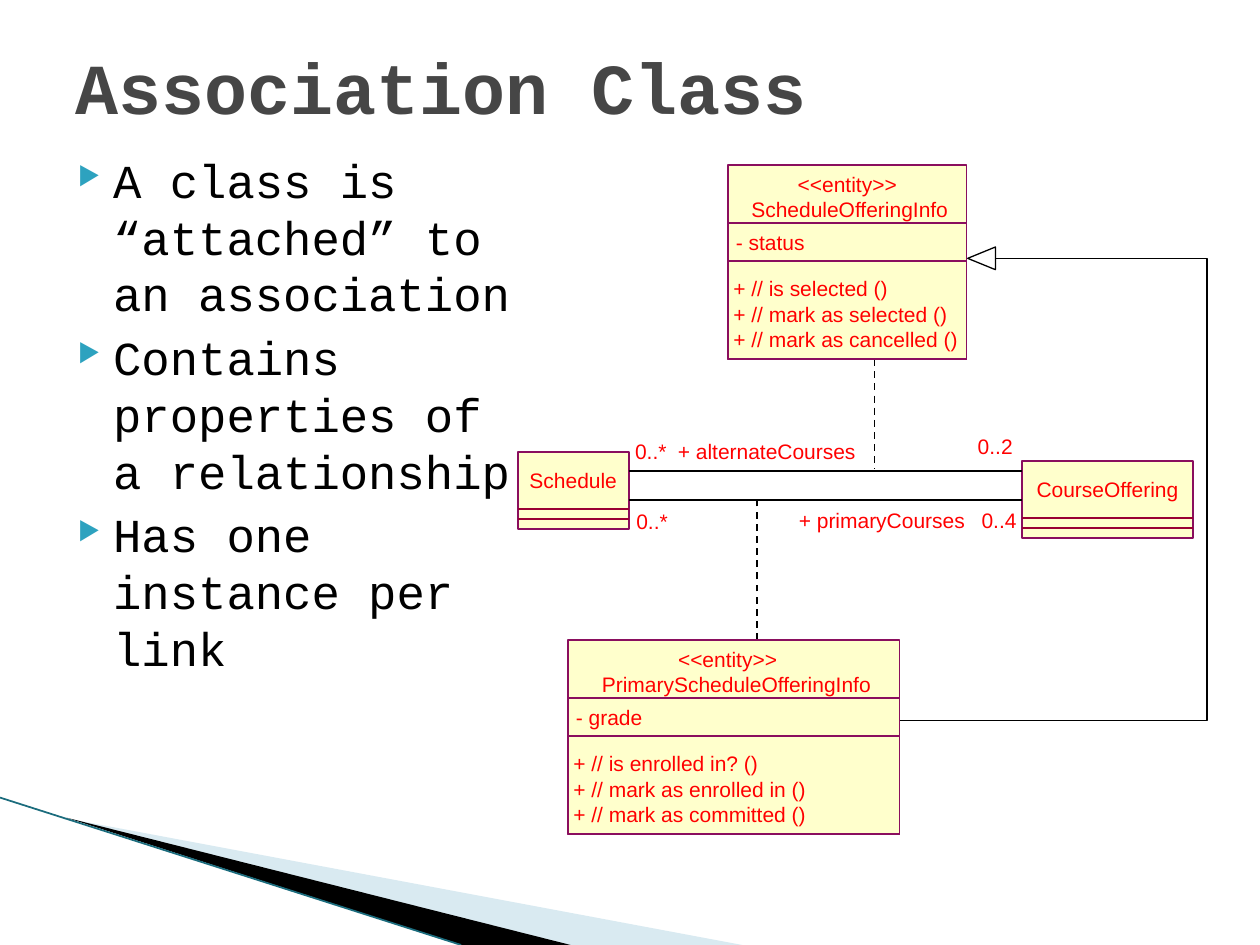
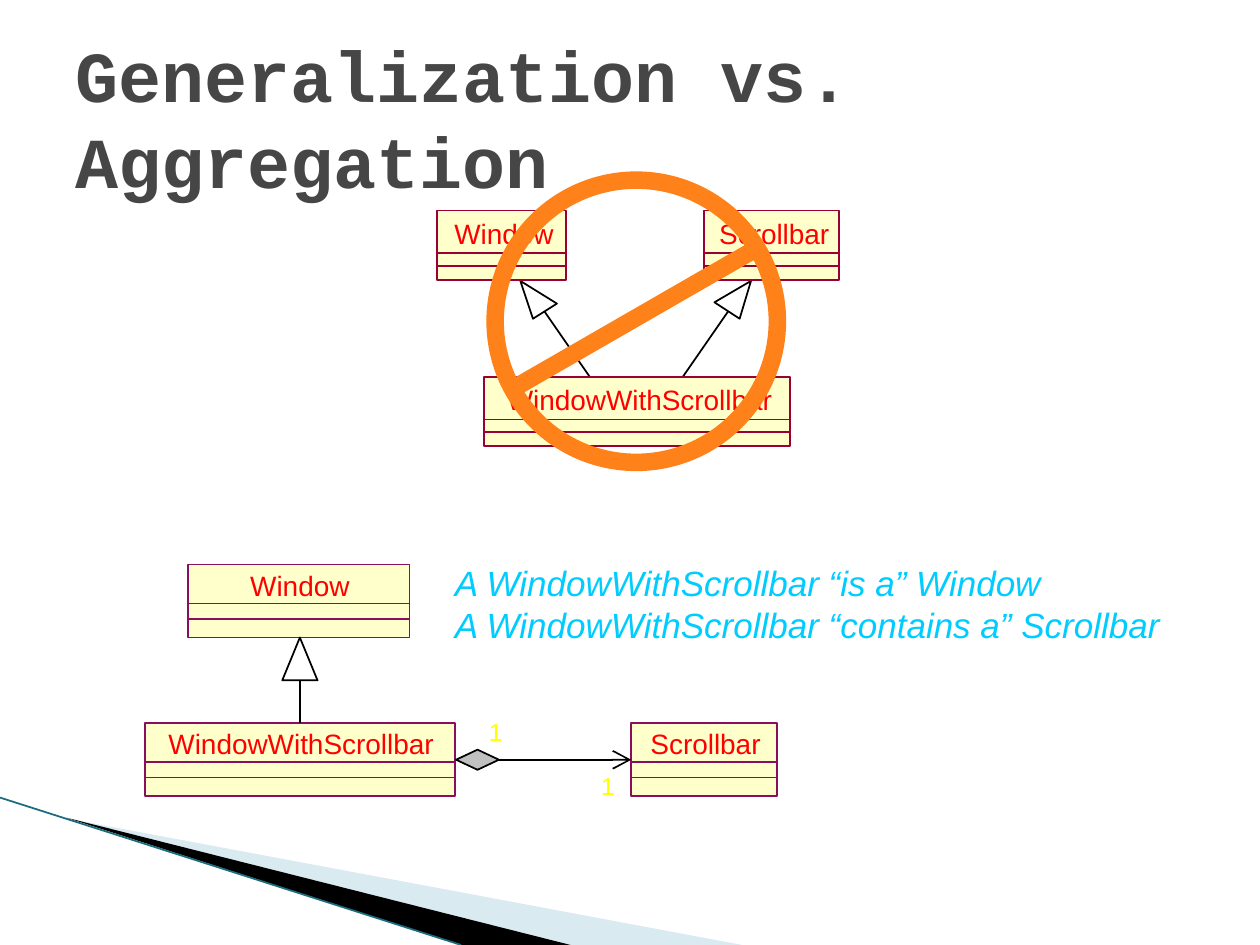
from pptx import Presentation
from pptx.dml.color import RGBColor
from pptx.enum.dml import MSO_LINE
from pptx.enum.shapes import MSO_CONNECTOR, MSO_SHAPE as SHAPE
from pptx.enum.text import MSO_ANCHOR as ANCHOR, PP_ALIGN as ALIGN
from pptx.oxml.ns import qn
from pptx.util import Pt
from lxml.etree import SubElement as add_sub

PX = 9144
MONO, SANS = "Courier New", "Arial"

BLACK = RGBColor(0x00, 0x00, 0x00)
GRAY = RGBColor(0x46, 0x46, 0x46)
SILVER = RGBColor(0xC0, 0xC0, 0xC0)
CREAM = RGBColor(0xFF, 0xFF, 0xCC)
PLUM = RGBColor(0x8A, 0x0E, 0x5E)
WINE = RGBColor(0x99, 0x00, 0x33)
RED = RGBColor(0xFF, 0x00, 0x00)
ORANGE = RGBColor(0xFF, 0x81, 0x19)
YELLOW = RGBColor(0xFF, 0xFF, 0x00)
CYAN = RGBColor(0x00, 0xCC, 0xFF)
PALE = RGBColor(0xD9, 0xEA, 0xF1)
TEAL = RGBColor(0x1B, 0x6C, 0x7D)
AQUA = RGBColor(0x2D, 0xA2, 0xBF)

POINTS = [
    "A class is “attached” to an association",
    "Contains properties of a relationship",
    "Has one instance per link",
]

ENTITIES = [
    ("ScheduleOfferingInfo", 578, 131, 189, 157, 0, "- status",
     ["+ // is selected ()", "+ // mark as selected ()",
      "+ // mark as cancelled ()"]),
    ("PrimaryScheduleOfferingInfo", 451, 508, 263, 215, -5, "- grade",
     ["+ // is enrolled in? ()", "+ // mark as enrolled in ()",
      "+ // mark as committed ()"]),
]

SMALL = dict(high=61, drop=12, rules=(45, 53), size=12, shift=0,
             edge=PLUM, rule=WINE)
WRONG = dict(high=55, drop=5, rules=(34, 44), size=16, shift=2,
             edge=WINE, rule=WINE)
RIGHT = dict(high=58, drop=3, rules=(31, 43), size=16, shift=1,
             edge=PLUM, rule=PLUM)

ENDS = [("Schedule", 411, 359, 88, 70), ("CourseOffering", 811, 366, 136, 113)]
ROLES = [
    ("0..*", 504, 348, 25),
    ("+ alternateCourses", 538, 348, 142),
    ("0..2", 776, 344, 28),
    ("0..*", 505, 404, 25),
    ("+ primaryCourses", 634, 403, 133),
    ("0..4", 779, 403, 28),
]
LINKS = [(499, 374, 811, 374), (499, 397, 811, 397)]
DASHES = [(694, 285, 694, 372), (601, 508, 601, 397)]
PARENT = [(790, 205), (958, 205), (958, 572), (714, 572)]

BANNED = [
    ("Window", 347, 167, 102, 79),
    ("Scrollbar", 559, 167, 107, 88),
    ("WindowWithScrollbar", 384, 299, 243, 211),
]
BAD = [
    ((578, 247, 542, 299), [(596, 223), (587, 253), (567, 240)]),
    ((432, 247, 468, 299), [(413, 223), (423, 253), (442, 241)]),
]
GOOD = [
    ("Window", 149, 448, 176, 79),
    ("WindowWithScrollbar", 115, 574, 246, 211),
    ("Scrollbar", 501, 574, 116, 88),
]
HEAD = [(238, 506), (252, 540), (224, 540)]
GEM = [(362, 603), (379, 611), (396, 603), (379, 595)]
COUNTS = [("1", 477, 612, 11), ("1", 388, 569, 11)]
CLAIM = ("A WindowWithScrollbar “is a” Window\n"
         "A WindowWithScrollbar “contains a” Scrollbar")


def place(*nums):
    return [round(n * PX) for n in nums]


def paint(item, fill, edge, width=1):
    item.shadow.inherit = False
    if fill is None:
        item.fill.background()
    else:
        item.fill.solid()
        item.fill.fore_color.rgb = fill
    if edge is None:
        item.line.fill.background()
    else:
        item.line.color.rgb = edge
        item.line.width = Pt(width)
    return item


def shape(page, kind, box, fill, edge, width=1):
    return paint(page.shapes.add_shape(kind, *place(*box)), fill, edge, width)


def poly(page, dots, fill, edge, close=True, width=1):
    pen = page.shapes.build_freeform(*dots[0], scale=PX)
    pen.add_line_segments(dots[1:], close=close)
    return paint(pen.convert_to_shape(), fill, edge, width)


def line(page, ends, color=BLACK, width=1):
    wire = page.shapes.add_connector(MSO_CONNECTOR.STRAIGHT, *place(*ends))
    wire.line.color.rgb = color
    wire.line.width = Pt(width)
    add_sub(wire._element.spPr, qn("a:effectLst"))
    return wire


def style(para, face, size, color, bold=False, slant=False):
    font = para.font
    font.name, font.size = face, Pt(size)
    font.color.rgb = color
    font.bold, font.italic = bold, slant


def label(page, text, x, y, w, size=12, color=RED, align=ALIGN.LEFT,
          slant=False):
    rows = text.count("\n") + 1
    box = page.shapes.add_textbox(*place(x, y, w, rows * size * 1.6))
    frame = box.text_frame
    frame.margin_left = frame.margin_right = 0
    frame.margin_top = frame.margin_bottom = 0
    frame.word_wrap = False
    frame.text = text
    for para in frame.paragraphs:
        para.alignment = align
        style(para, SANS, size, color, slant=slant)


def center(page, text, x, y, w, wide, size):
    label(page, text, x + (w - wide) / 2, y, wide, size, align=ALIGN.CENTER)


def plain(page, name, x, y, w, wide, look):
    box = shape(page, SHAPE.RECTANGLE, (x, y, w, look["high"]),
                CREAM, look["edge"])
    for gap in look["rules"]:
        line(page, (x, y + gap, x + w, y + gap), look["rule"])
    center(page, name, x + look["shift"], y + look["drop"], w, wide,
           look["size"])
    return box


def entity(page, name, x, y, w, wide, shift, field, calls):
    for gap in (0, 46, 76):
        shape(page, SHAPE.RECTANGLE, (x, y + gap, w, 154 - gap), CREAM, PLUM)
    center(page, "<<entity>>", x + shift, y + 5, w, 79, 12)
    center(page, name, x + 2, y + 25, w, wide, 12)
    label(page, field, x + 6, y + 51, 55)
    for i, call in enumerate(calls):
        label(page, call, x + 4, y + 88 + 20 * i, w - 8)


def begin(deck, title, top):
    page = deck.slides.add_slide(deck.slide_layouts[6])
    poly(page, [(55, 650), (589, 750), (452, 750)], PALE, None)
    poly(page, [(53, 649), (453, 750), (366, 750)], BLACK, None)
    line(page, (0, 633, 366, 750), TEAL)
    box = page.shapes.add_textbox(*place(50, top, 900, 125))
    frame = box.text_frame
    frame.word_wrap = True
    frame.vertical_anchor = ANCHOR.MIDDLE
    frame.text = title
    style(frame.paragraphs[0], MONO, 41, GRAY, bold=True)
    return page


def bullets(page):
    frame = page.shapes.add_textbox(*place(40, 115, 394, 552)).text_frame
    frame.word_wrap = True
    frame.text = "\n".join(POINTS)
    for i, para in enumerate(frame.paragraphs):
        props = para._p.get_or_add_pPr()
        props.set("marL", str(40 * PX))
        props.set("indent", str(-28 * PX))
        para.space_before = Pt(4 if i else 0)
        tint = add_sub(props, qn("a:buClr"))
        add_sub(tint, qn("a:srgbClr"), val=str(AQUA))
        add_sub(props, qn("a:buSzPct"), val="54000")
        add_sub(props, qn("a:buChar"), char="▶")
        style(para, MONO, 27, BLACK)


def association(deck):
    page = begin(deck, "Association Class", 6)
    bullets(page)
    for ends in DASHES:
        line(page, ends).line.dash_style = MSO_LINE.DASH
    for item in ENTITIES:
        entity(page, *item)
    for item in ENDS:
        plain(page, *item, SMALL)
    for ends in LINKS:
        line(page, ends)
    for role in ROLES:
        label(page, *role)
    poly(page, PARENT, None, BLACK, close=False, width=0.75)
    tip = shape(page, SHAPE.ISOSCELES_TRIANGLE, (770, 194, 18, 22),
                None, BLACK, 0.75)
    tip.rotation = 270


def contrast(deck):
    page = begin(deck, "Generalization vs. Aggregation", 30)
    for ends, tip in BAD:
        line(page, ends)
        poly(page, tip, None, BLACK)
    for item in BANNED:
        plain(page, *item, WRONG)
    shape(page, SHAPE.OVAL, (393, 143, 224, 224), None, ORANGE, 10)
    line(page, (408, 308, 599, 198), ORANGE, 10)

    base, whole, part = [plain(page, *item, RIGHT) for item in GOOD]
    stem = line(page, (238, 574, 238, 540))
    stem.begin_connect(whole, 0)
    poly(page, HEAD, None, BLACK)
    arrow = line(page, (396, 603, 501, 603))
    arrow.end_connect(part, 1)
    add_sub(arrow.line._get_or_add_ln(), qn("a:tailEnd"), type="arrow",
            w="lg", len="lg")
    poly(page, GEM, SILVER, BLACK)
    for count in COUNTS:
        label(page, *count, size=14, color=YELLOW)
    label(page, CLAIM, 361, 446, 561, 20, CYAN, slant=True)


def main():
    deck = Presentation()
    deck.slide_width, deck.slide_height = place(1000, 750)
    association(deck)
    contrast(deck)
    deck.save("out.pptx")


if __name__ == "__main__":
    main()
